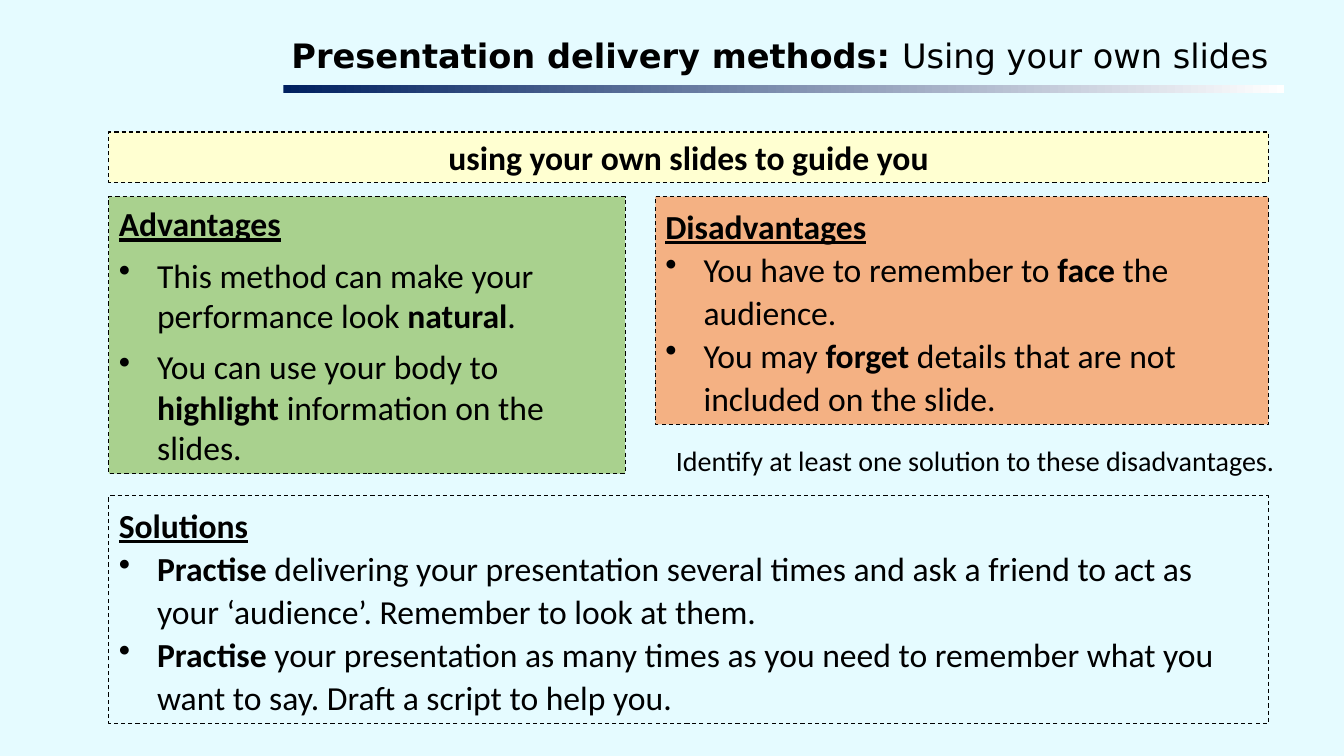
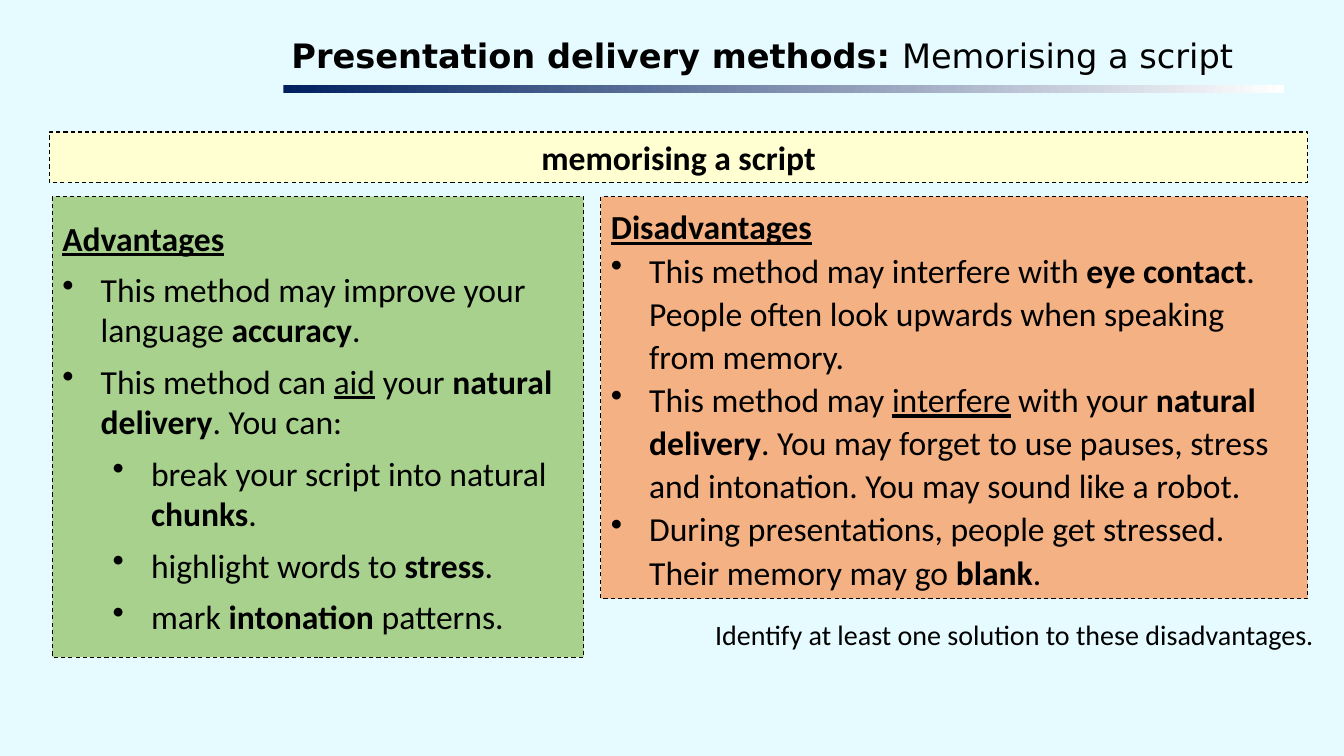
"""Build two slides comparing presentation delivery methods."""
from dataclasses import dataclass

from lxml import etree
from pptx import Presentation
from pptx.dml.color import RGBColor
from pptx.enum.dml import MSO_LINE
from pptx.enum.shapes import MSO_SHAPE as Shape
from pptx.enum.text import MSO_ANCHOR as Anchor, MSO_AUTO_SIZE as AutoSize, PP_ALIGN as Align
from pptx.oxml.ns import qn
from pptx.util import Inches, Pt


@dataclass(frozen=True)
class Theme:
    """Colours, fonts and type sizes."""
    background: str = "E5FBFF"
    ink: str = "000000"
    navy: str = "002060"
    white: str = "FFFFFF"
    banner: str = "FFFFD1"
    advantages: str = "A9D18E"
    disadvantages: str = "F4B183"
    title_font: str = "DejaVu Sans"
    body_font: str = "Calibri"
    body_size: int = 24
    prompt_size: int = 20


THEME = Theme()
TITLE_PREFIX = "*Presentation delivery methods: *"
PROMPT = "Identify at least one solution to these disadvantages."
BANNER_TOP, BANNER_HEIGHT = 1.31, 0.5
PANEL_TOP = 1.95
PROMPT_WIDTH, PROMPT_HEIGHT = 7.35, 0.44
PROMPT_GAP, PROMPT_OVERHANG = 0.14, 0.16
LOOSE = {"space_after": Pt(8)}
TIGHT = {"line_spacing": 1.07}

# Asterisks enclose bold words, underscores enclose underlined words.
SLIDES = [
    {
        "title": "Using your own slides",
        "banner": "using your own slides to guide you",
        "left": 1.08, "right": 12.58,
        "advantages_box": (1.08, 5.12, 2.75),
        "disadvantages_box": (6.5, 2.26),
        "advantages": [
            (0, "This method can make your performance look *natural*."),
            (0, "You can use your body to *highlight* information on the slides."),
        ],
        "disadvantages": [
            (0, "You have to remember to *face* the audience."),
            (0, "You may *forget* details that are not included on the slide."),
        ],
        "solutions_box": (4.92, 2.26),
        "solutions": [
            (0, "*Practise* delivering your presentation several times and ask a friend "
                "to act as your ‘audience’. Remember to look at them."),
            (0, "*Practise* your presentation as many times as you need to remember "
                "what you want to say. Draft a script to help you."),
        ],
    },
    {
        "title": "Memorising a script",
        "banner": "memorising a script",
        "left": 0.49, "right": 12.97,
        "advantages_box": (0.52, 5.27, 4.57),
        "disadvantages_box": (5.96, 3.99),
        "advantages": [
            (0, "This method may improve your language *accuracy*."),
            (0, "This method can _aid_ your *natural delivery*. You can:"),
            (1, "break your script into natural *chunks*."),
            (1, "highlight words to *stress*."),
            (1, "mark *intonation* patterns."),
        ],
        "disadvantages": [
            (0, "This method may interfere with *eye contact*. People often look "
                "upwards when speaking from memory."),
            (0, "This method may _interfere_ with your *natural delivery*. You may "
                "forget to use pauses, stress and intonation. You may sound like a robot."),
            (0, "During presentations, people get stressed. Their memory may go *blank*."),
        ],
    },
]


def colour(name):
    """Return the RGB colour of a hex string."""
    return RGBColor.from_string(name)


def write(paragraph, text, font=THEME.body_font, size=THEME.body_size):
    """Write marked-up text as formatted runs."""
    for bold_index, part in enumerate(text.split("*")):
        for underline_index, piece in enumerate(part.split("_")):
            if piece:
                run = paragraph.add_run()
                run.text = piece
                run.font.name, run.font.size = font, Pt(size)
                run.font.color.rgb = colour(THEME.ink)
                run.font.bold = bold_index % 2 == 1
                run.font.underline = underline_index % 2 == 1


def add_bullet(paragraph, level):
    """Give a paragraph a hanging bullet at its level."""
    paragraph.level = level
    properties = paragraph._p.get_or_add_pPr()
    properties.set("marL", str(Inches(0.38 + 0.5 * level)))
    properties.set("indent", str(-Inches(0.38)))
    etree.SubElement(properties, qn("a:buChar")).set("char", "•")


def add_box(slide, left, top, width, height, fill=None):
    """Add a dashed rectangle and return its text frame."""
    shape = slide.shapes.add_shape(
        Shape.RECTANGLE, Inches(left), Inches(top), Inches(width), Inches(height))
    shape.shadow.inherit = False
    if fill:
        shape.fill.solid()
        shape.fill.fore_color.rgb = colour(fill)
    else:
        shape.fill.background()
    shape.line.color.rgb = colour(THEME.ink)
    shape.line.width = Pt(0.75)
    shape.line.dash_style = MSO_LINE.DASH
    frame = shape.text_frame
    frame.word_wrap = True
    frame.vertical_anchor = Anchor.MIDDLE
    return frame


def add_panel(slide, box, fill, heading, bullets, spacing):
    """Add a box with an underlined heading and bullets."""
    frame = add_box(slide, *box, fill)
    for index, (level, text) in enumerate([(0, f"*_{heading}_*"), *bullets]):
        paragraph = frame.add_paragraph() if index else frame.paragraphs[0]
        paragraph.alignment = Align.LEFT
        for name, value in spacing.items():
            setattr(paragraph, name, value)
        if index:
            add_bullet(paragraph, level)
        write(paragraph, text)


def add_title(slide, text):
    """Format the title placeholder and add the fading rule below it."""
    title = slide.shapes.title
    title.left, title.top = Inches(2.85), Inches(0.31)
    title.width, title.height = Inches(9.89), Inches(0.53)
    frame = title.text_frame
    frame.margin_left = frame.margin_right = Inches(0.04)
    frame.margin_top = frame.margin_bottom = Inches(0.04)
    frame.auto_size, frame.word_wrap = AutoSize.NONE, True
    frame.vertical_anchor = Anchor.TOP
    frame.paragraphs[0].alignment = Align.LEFT
    write(frame.paragraphs[0], TITLE_PREFIX + text, THEME.title_font)
    rule = slide.shapes.add_shape(
        Shape.RECTANGLE, Inches(2.81), Inches(0.84), Inches(9.93), Inches(0.08))
    rule.shadow.inherit = False
    rule.line.fill.background()
    rule.fill.gradient()
    rule.fill.gradient_angle = 0
    for stop, name in zip(rule.fill.gradient_stops, (THEME.navy, THEME.white)):
        stop.color.rgb = colour(name)


def add_prompt(slide, right, top):
    """Add the right-aligned prompt under the disadvantages."""
    box = slide.shapes.add_textbox(
        Inches(right - PROMPT_WIDTH), Inches(top), Inches(PROMPT_WIDTH), Inches(PROMPT_HEIGHT))
    box.text_frame.word_wrap = True
    paragraph = box.text_frame.paragraphs[0]
    paragraph.alignment = Align.RIGHT
    write(paragraph, PROMPT, size=THEME.prompt_size)


def build_slide(presentation, content):
    """Lay out one delivery method."""
    slide = presentation.slides.add_slide(presentation.slide_layouts[5])
    left, right = content["left"], content["right"]
    add_title(slide, content["title"])
    banner = add_box(slide, left, BANNER_TOP, right - left, BANNER_HEIGHT, THEME.banner)
    banner.paragraphs[0].alignment = Align.CENTER
    write(banner.paragraphs[0], f"*{content['banner']}*")

    panel_left, width, height = content["advantages_box"]
    add_panel(slide, (panel_left, PANEL_TOP, width, height), THEME.advantages,
              "Advantages", content["advantages"], LOOSE)
    panel_left, height = content["disadvantages_box"]
    add_panel(slide, (panel_left, PANEL_TOP, right - panel_left, height), THEME.disadvantages,
              "Disadvantages", content["disadvantages"], TIGHT)
    add_prompt(slide, right + PROMPT_OVERHANG, PANEL_TOP + height + PROMPT_GAP)
    if "solutions" in content:
        top, height = content["solutions_box"]
        add_panel(slide, (left, top, right - left, height), None,
                  "Solutions", content["solutions"], TIGHT)


def main():
    """Build and save the presentation."""
    presentation = Presentation()
    presentation.slide_width, presentation.slide_height = Inches(13.33), Inches(7.5)
    background = presentation.slide_master.background.fill
    background.solid()
    background.fore_color.rgb = colour(THEME.background)
    for content in SLIDES:
        build_slide(presentation, content)
    presentation.save("out.pptx")


if __name__ == "__main__":
    main()
